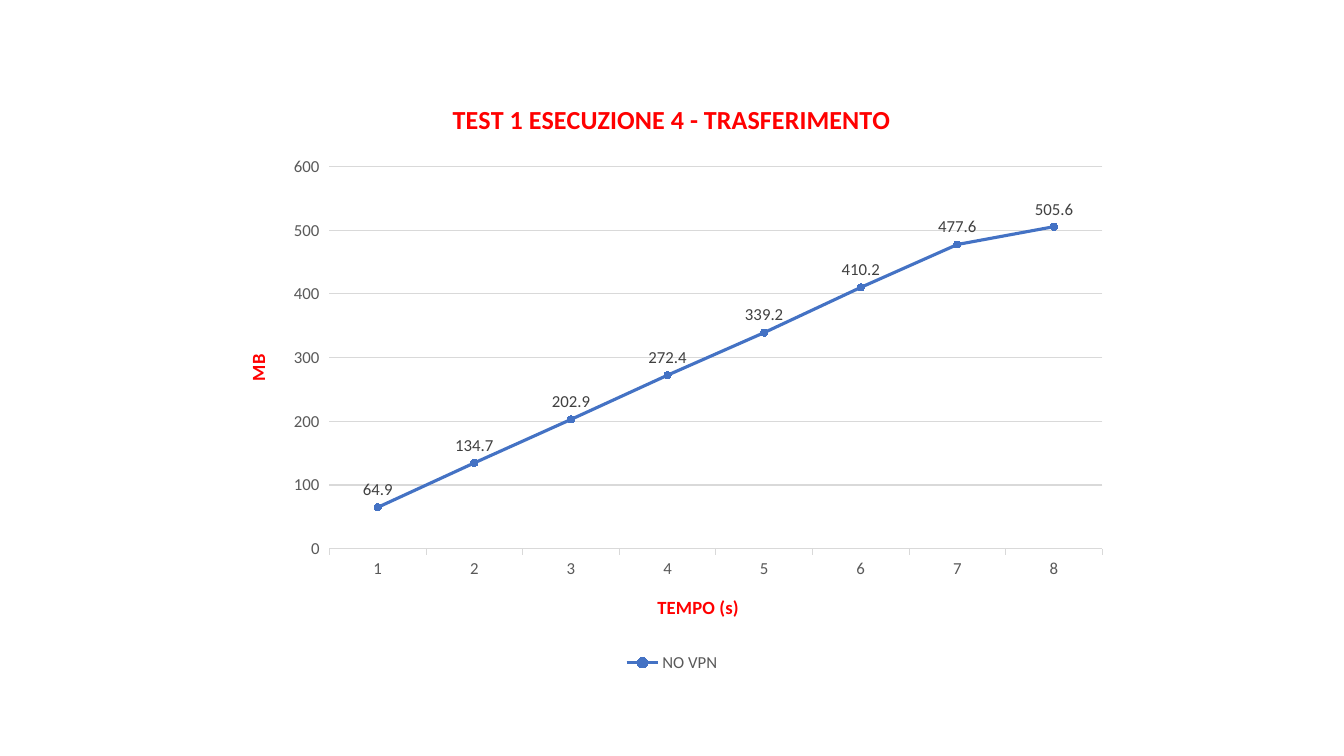
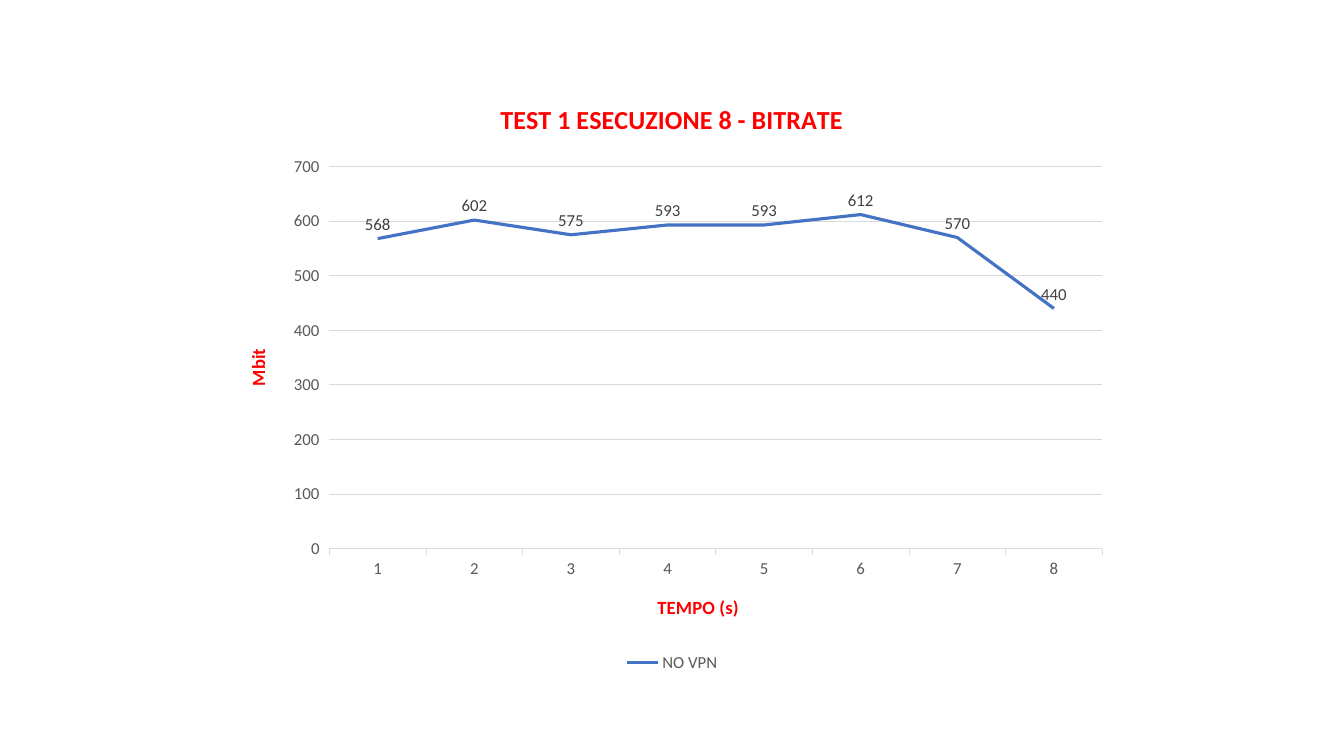
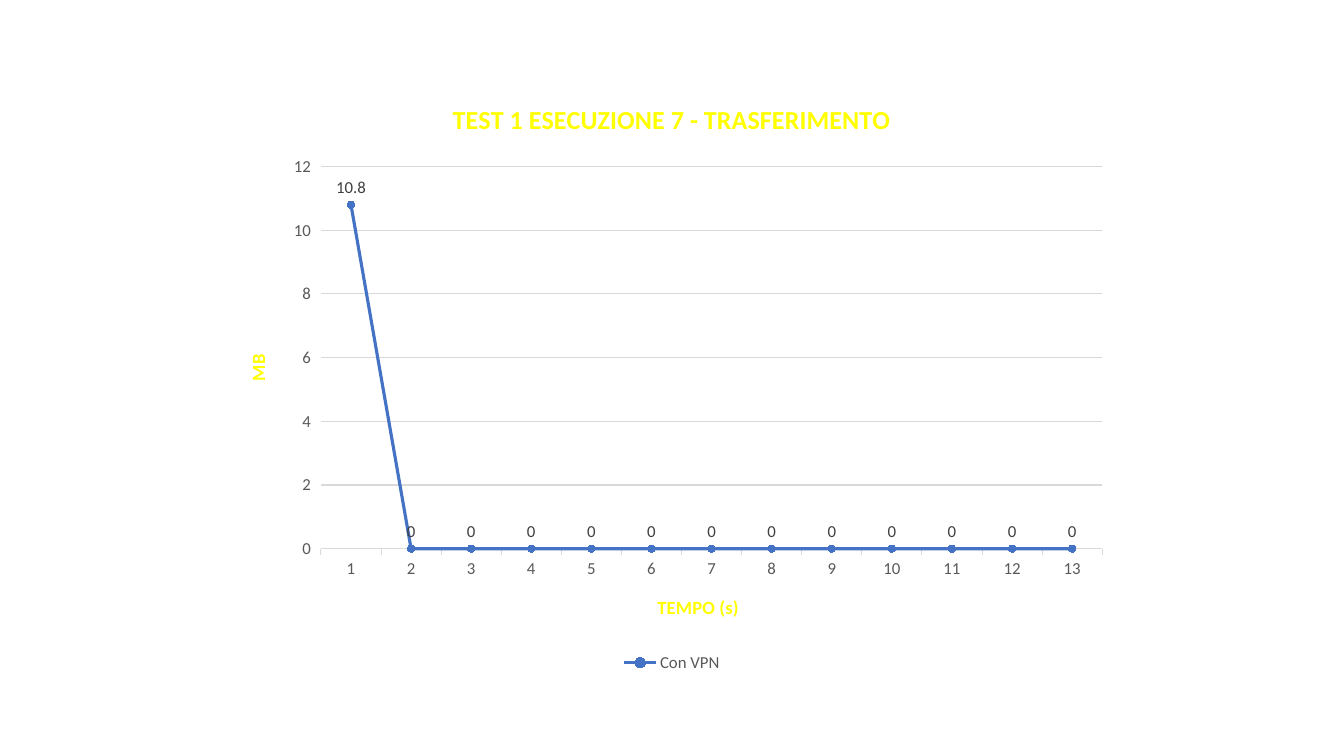
"""Build three slides of line charts showing transfer and bitrate tests."""
from pptx import Presentation
from pptx.chart.data import CategoryChartData
from pptx.dml.color import RGBColor
from pptx.enum.chart import (XL_CHART_TYPE, XL_LABEL_POSITION, XL_LEGEND_POSITION,
                             XL_MARKER_STYLE, XL_TICK_MARK)
from pptx.util import Inches, Pt

FONT = "Calibri"
COLORS = {"line": "4472C4", "grid": "D9D9D9", "axis": "595959", "label": "404040",
          "base": "000000", "no_vpn": "FF0000", "vpn": "FFFF00"}
SLIDE_WIDTH, SLIDE_HEIGHT = Inches(13.33), Inches(7.5)
CHART_WIDTH, CHART_HEIGHT = Inches(8.89), Inches(5.93)
BLANK_LAYOUT = 6

TESTS = [
    {"title": "TEST 1 ESECUZIONE 4 - TRASFERIMENTO", "unit": "MB", "network": "NO VPN",
     "accent": "no_vpn", "markers": True,
     "values": [64.9, 134.7, 202.9, 272.4, 339.2, 410.2, 477.6, 505.6]},
    {"title": "TEST 1 ESECUZIONE 8 - BITRATE", "unit": "Mbit", "network": "NO VPN",
     "accent": "no_vpn", "markers": False,
     "values": [568, 602, 575, 593, 593, 612, 570, 440]},
    {"title": "TEST 1 ESECUZIONE 7 - TRASFERIMENTO", "unit": "MB", "network": "Con VPN",
     "accent": "vpn", "markers": True,
     "values": [10.8] + [0] * 12},
]


def rgb(name):
    return RGBColor.from_string(COLORS[name])


def format_font(font, size, color, bold=False):
    font.name = FONT
    font.size = Pt(size)
    font.bold = bold
    font.color.rgb = rgb(color)


def write_title(frame, text, size=13.3, color="base", bold=True):
    run = frame.paragraphs[0].add_run()
    run.text = text
    format_font(run.font, size, color, bold)


def style_line(line, color, width):
    line.color.rgb = rgb(color)
    line.width = Pt(width)


def style_axis(axis, title, accent):
    write_title(axis.axis_title.text_frame, title, color=accent)
    format_font(axis.tick_labels.font, 12, "axis")
    axis.major_tick_mark = XL_TICK_MARK.OUTSIDE
    axis.minor_tick_mark = XL_TICK_MARK.NONE


def style_axes(chart, unit, accent):
    time_axis, unit_axis = chart.category_axis, chart.value_axis
    style_axis(time_axis, "TEMPO (s)", accent)
    style_line(time_axis.format.line, "grid", 0.75)
    style_axis(unit_axis, unit, accent)
    unit_axis.format.line.fill.background()
    unit_axis.minimum_scale = 0
    unit_axis.has_major_gridlines = True
    style_line(unit_axis.major_gridlines.format.line, "grid", 0.75)


def style_series(plot, markers):
    plot.vary_by_categories = False
    series = plot.series[0]
    series.smooth = False
    style_line(series.format.line, "line", 2.25)
    if markers:
        marker = series.marker
        marker.style = XL_MARKER_STYLE.CIRCLE
        marker.size = 5
        marker.format.fill.solid()
        marker.format.fill.fore_color.rgb = rgb("line")
        style_line(marker.format.line, "line", 0.75)
    labels = series.data_labels
    labels.show_value = True
    labels.position = XL_LABEL_POSITION.ABOVE
    format_font(labels.font, 12, "label")


def add_legend(chart):
    chart.has_legend = True
    chart.legend.position = XL_LEGEND_POSITION.BOTTOM
    chart.legend.include_in_layout = False
    format_font(chart.legend.font, 12, "axis")


def add_test_chart(slide, title, unit, network, accent, markers, values):
    results = CategoryChartData()
    results.categories = [str(second) for second in range(1, len(values) + 1)]
    results.add_series(network, values)
    kind = XL_CHART_TYPE.LINE_MARKERS if markers else XL_CHART_TYPE.LINE
    left = (SLIDE_WIDTH - CHART_WIDTH) // 2
    top = (SLIDE_HEIGHT - CHART_HEIGHT) // 2
    chart = slide.shapes.add_chart(kind, left, top, CHART_WIDTH, CHART_HEIGHT,
                                   results).chart
    format_font(chart.font, 10, "base")
    chart.has_title = True
    chart.chart_title.include_in_layout = False
    write_title(chart.chart_title.text_frame, title, size=18.6, color=accent)
    style_axes(chart, unit, accent)
    style_series(chart.plots[0], markers)
    add_legend(chart)


def main():
    deck = Presentation()
    deck.slide_width, deck.slide_height = SLIDE_WIDTH, SLIDE_HEIGHT
    for test in TESTS:
        slide = deck.slides.add_slide(deck.slide_layouts[BLANK_LAYOUT])
        add_test_chart(slide, **test)
    deck.save("out.pptx")


if __name__ == "__main__":
    main()
